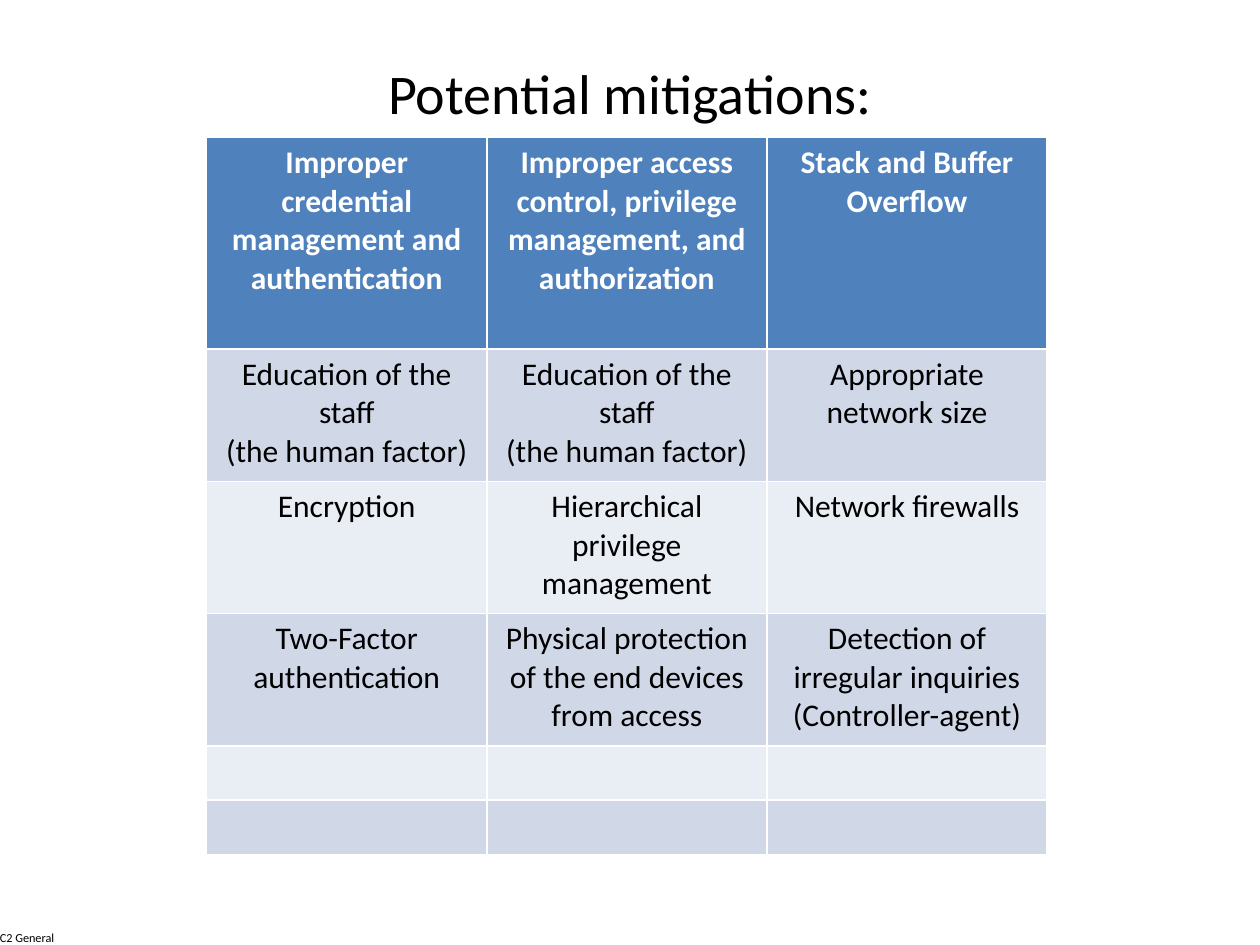
from pptx import Presentation
from pptx.dml.color import RGBColor
from pptx.enum.text import MSO_ANCHOR, MSO_AUTO_SIZE, PP_ALIGN
from pptx.util import Inches, Pt

CENTER, LEFT = PP_ALIGN.CENTER, PP_ALIGN.LEFT
MIDDLE = MSO_ANCHOR.MIDDLE
GROW = MSO_AUTO_SIZE.SHAPE_TO_FIT_TEXT

BLACK = RGBColor(0x00, 0x00, 0x00)
WHITE = RGBColor(0xFF, 0xFF, 0xFF)
HEADER = RGBColor(0x4F, 0x81, 0xBD)
BANDS = (RGBColor(0xE9, 0xED, 0xF4), RGBColor(0xD0, 0xD8, 0xE8))

FONT = "Calibri"
ROW_HEIGHTS = (1.68, 1.05, 1.05, 1.05, 0.43, 0.43)
STAFF = "Education of the staff\n(the human factor)"
MITIGATIONS = (
    ("Improper credential management and authentication",
     "Improper access control, privilege management, and authorization",
     "Stack and Buffer Overflow"),
    (STAFF, STAFF, "Appropriate network size"),
    ("Encryption", "Hierarchical privilege management", "Network firewalls"),
    ("Two-Factor authentication",
     "Physical protection of the end devices from access",
     "Detection of irregular inquiries (Controller-agent)"),
    ("", "", ""),
    ("", "", ""),
)


def write(tf, text, size=18, color=BLACK, bold=False, align=CENTER):
    """Fill a text frame, one paragraph per line of text."""
    tf.text = text
    for p in tf.paragraphs:
        p.alignment = align
        for font in [p.font] + [r.font for r in p.runs]:
            font.name, font.size, font.bold = FONT, Pt(size), bold
            font.color.rgb = color


def add_title(s, text, x, y, w, h):
    """Place the title placeholder in the given box."""
    sp = s.shapes.title
    sp.left, sp.top, sp.width, sp.height = map(Inches, (x, y, w, h))
    sp.text_frame.vertical_anchor = MIDDLE
    write(sp.text_frame, text, size=32)


def add_mitigations(s, rows, x, y, w):
    """Add the table with a header row and banded body rows."""
    table = s.shapes.add_table(len(rows), len(rows[0]), Inches(x), Inches(y),
                               Inches(w), Inches(sum(ROW_HEIGHTS))).table
    for i, (texts, height) in enumerate(zip(rows, ROW_HEIGHTS)):
        table.rows[i].height = Inches(height)
        head = i == 0
        for cell, text in zip(table.rows[i].cells, texts):
            cell.fill.solid()
            cell.fill.fore_color.rgb = HEADER if head else BANDS[i % 2]
            write(cell.text_frame, text, bold=head,
                  color=WHITE if head else BLACK)


def add_label(s, text, x, y, w, h):
    """Add the small classification label without margins."""
    sp = s.shapes.add_textbox(Inches(x), Inches(y), Inches(w), Inches(h))
    tf = sp.text_frame
    tf.margin_left = tf.margin_right = tf.margin_top = tf.margin_bottom = 0
    tf.auto_size = GROW
    tf.word_wrap = False
    write(tf, text, size=7, align=LEFT)


prs = Presentation()
prs.slide_width, prs.slide_height = Inches(10), Inches(7.5)
s = prs.slides.add_slide(prs.slide_layouts[5])
add_label(s, "C2 General", 0, 7.38, 0.46, 0.12)
add_title(s, "Potential mitigations:", 0.5, 0.3, 9, 0.87)
add_mitigations(s, MITIGATIONS, 1.64, 1.09, 6.67)
prs.save("out.pptx")
